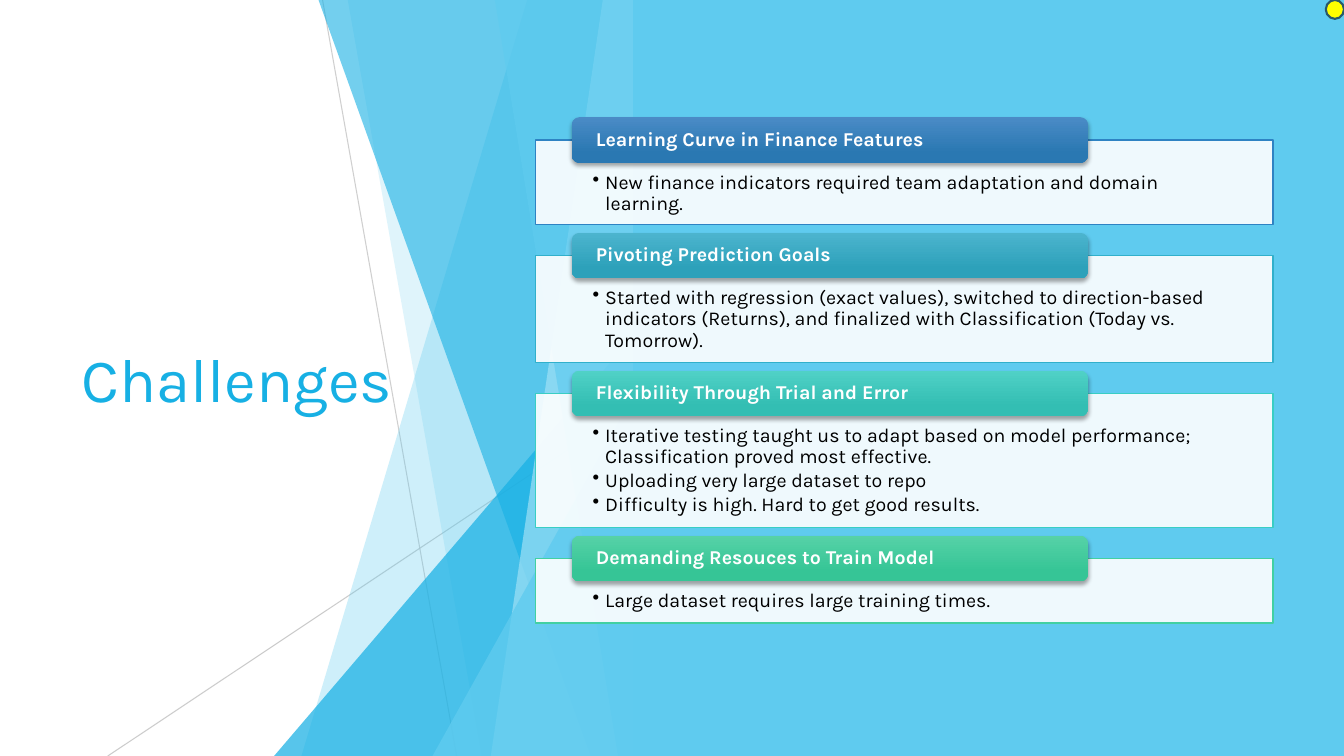
from lxml.etree import SubElement
from pptx import Presentation
from pptx.dml.color import RGBColor
from pptx.enum.shapes import MSO_CONNECTOR, MSO_SHAPE
from pptx.enum.text import MSO_ANCHOR, PP_ALIGN
from pptx.oxml.ns import qn
from pptx.util import Pt

WHITE = RGBColor(0xFF, 0xFF, 0xFF)
BLACK = RGBColor(0x00, 0x00, 0x00)
GREY = RGBColor(0xBF, 0xBF, 0xBF)
SKY = RGBColor(0x5F, 0xCB, 0xEF)
AZURE = RGBColor(0x17, 0xB0, 0xE4)
PALE = RGBColor(0x9F, 0xE0, 0xF5)
YELLOW = RGBColor(0xFF, 0xFF, 0x00)
TEAL = RGBColor(0x2A, 0x59, 0x69)

FONT = "Karla"
WIDTH, HEIGHT = 960, 540
PANEL_LEFT = 452.2
CARD_LEFT, CARD_WIDTH, CARD_TOP, CARD_GAP = 382.3, 527, 100, 22.1
HEADER_LEFT, HEADER_WIDTH, HEADER_HEIGHT, HEADER_RISE = 408.5, 368.6, 32.6, 16.3

RAYS = [((230.4, 0), (326.2, 540), 75), ((PANEL_LEFT, 290.2), (77, 540), 80)]

FACETS = [
    ([(376.6, 0), (215.3, HEIGHT)], SKY, 30),
    ([(248.4, 0), (344.2, HEIGHT)], SKY, 20),
    ([(195.8, HEIGHT)], AZURE, 72, 239.8),
    ([(227.5, 0), (421.9, HEIGHT)], AZURE, 60),
    ([(430.6, 0), (350.6, HEIGHT)], PALE, 70),
    ([(353.5, 0), (441.4, HEIGHT)], SKY, 65),
    ([(308.9, HEIGHT)], SKY, 80, 283),
]

CARDS = [
    ("Learning Curve in Finance Features",
     ["New finance indicators required team adaptation and domain learning."],
     60.5, RGBColor(0x2E, 0x83, 0xC3), RGBColor(0x4A, 0x8B, 0xC6), RGBColor(0x2A, 0x78, 0xB2)),
    ("Pivoting Prediction Goals",
     ["Started with regression (exact values), switched to direction-based indicators "
      "(Returns), and finalized with Classification (Today vs. Tomorrow)."],
     76.3, RGBColor(0x31, 0xB0, 0xCB), RGBColor(0x4C, 0xB4, 0xCE), RGBColor(0x2D, 0xA1, 0xBA)),
    ("Flexibility Through Trial and Error",
     ["Iterative testing taught us to adapt based on model performance; "
      "Classification proved most effective.",
      "Uploading very large dataset to repo",
      "Difficulty is high. Hard to get good results."],
     95.8, RGBColor(0x39, 0xCE, 0xC4), RGBColor(0x50, 0xD1, 0xC6), RGBColor(0x33, 0xBE, 0xB3)),
    ("Demanding Resouces to Train Model",
     ["Large dataset requires large training times."],
     46.1, RGBColor(0x42, 0xD0, 0xA2), RGBColor(0x56, 0xD2, 0xA7), RGBColor(0x36, 0xC5, 0x96)),
]


def set_format(obj, **values):
    """Set each given attribute on an object."""
    for name, value in values.items():
        setattr(obj, name, value)


def set_alpha(el, percent):
    """Make the first RGB colour under an element partly opaque."""
    clr = next(el.iter(qn("a:srgbClr")))
    SubElement(clr, qn("a:alpha"), val=str(percent * 1000))


def paint(sp, color, alpha=100, line=None, weight=1):
    """Give a shape a solid fill, an optional outline and no shadow."""
    sp.shadow.inherit = False
    sp.fill.solid()
    sp.fill.fore_color.rgb = color
    if alpha < 100:
        set_alpha(sp.fill._xPr, alpha)
    if line is None:
        sp.line.fill.background()
    else:
        sp.line.color.rgb = line
        sp.line.width = Pt(weight)


def add_box(s, kind, left, top, width, height):
    """Add a preset shape measured in points."""
    return s.shapes.add_shape(kind, Pt(left), Pt(top), Pt(width), Pt(height))


def write(tf, texts, anchor, insets, para, font, bullet=False):
    """Fill a text frame with paragraphs of one format."""
    left, top, right, bottom = (Pt(v) for v in insets)
    set_format(tf, word_wrap=True, vertical_anchor=anchor, margin_left=left,
               margin_top=top, margin_right=right, margin_bottom=bottom)
    for i, text in enumerate(texts):
        p = tf.paragraphs[0] if i == 0 else tf.add_paragraph()
        if bullet:
            pPr = p._p.get_or_add_pPr()
            pPr.set("marL", str(Pt(9)))
            pPr.set("indent", str(-Pt(9)))
            SubElement(pPr, qn("a:buChar"), char="•")
        set_format(p, alignment=PP_ALIGN.LEFT, **para)
        r = p.add_run()
        r.text = text
        color = font["color"]
        set_format(r.font, name=FONT, size=Pt(font["size"]), bold=font.get("bold", False))
        r.font.color.rgb = color


def add_ray(s, start, end, alpha):
    """Draw a thin translucent line."""
    ends = [Pt(v) for v in (*start, *end)]
    cn = s.shapes.add_connector(MSO_CONNECTOR.STRAIGHT, *ends)
    cn.line.color.rgb = GREY
    cn.line.width = Pt(0.75)
    set_alpha(cn.line._ln, alpha)
    SubElement(cn._element.spPr, qn("a:effectLst"))


def add_facet(s, edge, color, alpha, right_top=0):
    """Draw a translucent polygon between its left edge and the panel."""
    points = [*edge, (PANEL_LEFT, HEIGHT), (PANEL_LEFT, right_top)]
    (x, y), *rest = [(Pt(px), Pt(py)) for px, py in points]
    fb = s.shapes.build_freeform(x, y)
    fb.add_line_segments(rest, close=True)
    paint(fb.convert_to_shape(), color, alpha)


def add_header(s, top, text, light, dark):
    """Add the rounded gradient label of a card."""
    sp = add_box(s, MSO_SHAPE.ROUNDED_RECTANGLE, HEADER_LEFT, top, HEADER_WIDTH, HEADER_HEIGHT)
    sp.fill.gradient()
    sp.fill.gradient_angle = 270
    for stop, position, color in zip(sp.fill.gradient_stops, (0, 0.78), (light, dark)):
        stop.position = position
        stop.color.rgb = color
    sp.line.fill.background()
    sp.shadow.inherit = False
    effects = sp._element.spPr.find(qn("a:effectLst"))
    shadow = SubElement(effects, qn("a:outerShdw"), blurRad=str(Pt(3)), dist=str(Pt(2)),
                        dir="5400000", rotWithShape="0")
    SubElement(shadow, qn("a:srgbClr"), val=str(BLACK))
    set_alpha(shadow, 35)
    write(sp.text_frame, [text], MSO_ANCHOR.MIDDLE, (15.5, 0, 15.5, 0),
          {"line_spacing": 0.9}, {"size": 14, "color": WHITE, "bold": True})


def add_card(s, top, title, points, height, accent, light, dark):
    """Add a bulleted card with its header."""
    sp = add_box(s, MSO_SHAPE.RECTANGLE, CARD_LEFT, top, CARD_WIDTH, height)
    paint(sp, WHITE, 90, accent)
    write(sp.text_frame, points, MSO_ANCHOR.TOP, (41, 23, 41, 8),
          {"line_spacing": 0.9, "space_after": Pt(2)}, {"size": 14, "color": BLACK}, bullet=True)
    add_header(s, top - HEADER_RISE, title, light, dark)


def main():
    """Build the challenges slide."""
    prs = Presentation()
    set_format(prs, slide_width=Pt(WIDTH), slide_height=Pt(HEIGHT))
    s = prs.slides.add_slide(prs.slide_layouts[6])
    for ray in RAYS:
        add_ray(s, *ray)
    for facet in FACETS:
        add_facet(s, *facet)
    title = s.shapes.add_textbox(Pt(51.1), Pt(108.7), Pt(279.4), Pt(322.6))
    write(title.text_frame, ["Challenges"], MSO_ANCHOR.MIDDLE, (7.2, 3.6, 7.2, 3.6),
          {}, {"size": 44, "color": AZURE})
    panel = add_box(s, MSO_SHAPE.RECTANGLE, PANEL_LEFT, 0, WIDTH - PANEL_LEFT, HEIGHT)
    paint(panel, SKY)
    top = CARD_TOP
    for heading, points, height, *colors in CARDS:
        add_card(s, top, heading, points, height, *colors)
        top += height + CARD_GAP
    dot = add_box(s, MSO_SHAPE.OVAL, 947, 0, 13, 13.5)
    paint(dot, YELLOW, line=TEAL, weight=1.5)
    prs.save("out.pptx")


if __name__ == "__main__":
    main()
